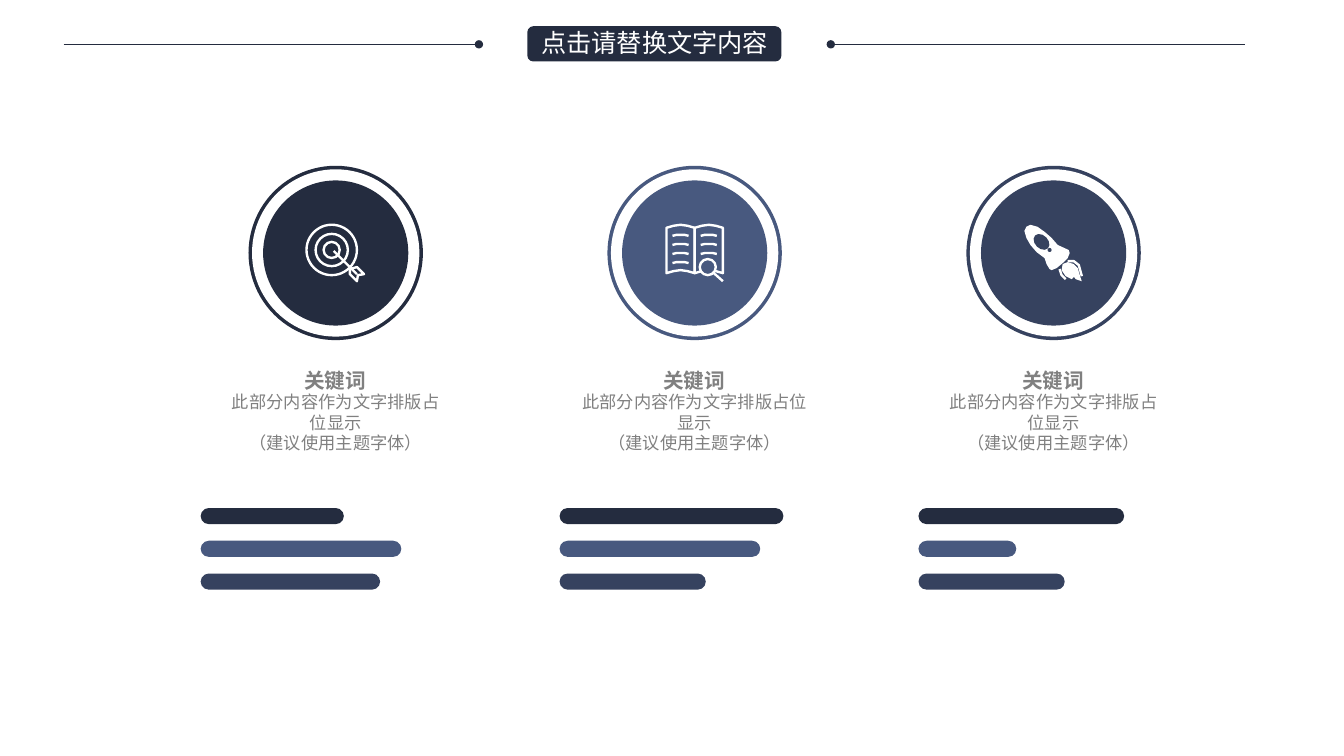
import dataclasses
import pptx
import pptx.dml.color
import pptx.enum.shapes
import pptx.enum.text
import pptx.oxml
import pptx.oxml.ns
import pptx.util

Inches = pptx.util.Inches
Kind = pptx.enum.shapes.MSO_SHAPE
Align = pptx.enum.text.PP_ALIGN


@dataclasses.dataclass(frozen=True)
class Theme:
    """Colours, fonts and sizes of the slide."""
    dark: str = "242C3F"
    blue: str = "48597F"
    slate: str = "36425F"
    white: str = "FFFFFF"
    grey: str = "808080"
    sans: str = "Noto Sans CJK SC"
    head: str = "Arial"
    title: float = 18
    key: float = 14.7
    body: float = 12.3
    rule: float = 0.5
    ink: float = 1.7


THEME = Theme()


def tint(hue):
    """Turn a hex string into a colour."""
    return pptx.dml.color.RGBColor.from_string(hue)


def paint(shape, fill=None, line=None):
    """Set the fill and outline of a shape."""
    shape.shadow.inherit = False
    if fill:
        shape.fill.solid()
        shape.fill.fore_color.rgb = tint(fill)
    else:
        shape.fill.background()
    if line:
        shape.line.color.rgb = tint(line)
        shape.line.width = pptx.util.Pt(THEME.ink)
    else:
        shape.line.fill.background()
    return shape


def disc(shapes, x, y, wide, tall=None, fill=None, line=None):
    """Draw an oval about a centre."""
    tall = tall or wide
    oval = shapes.add_shape(Kind.OVAL, Inches(x - wide / 2),
                            Inches(y - tall / 2), Inches(wide), Inches(tall))
    return paint(oval, fill, line)


def trace(shapes, x, y, points, fill=None, line=None, close=False):
    """Draw an outline given in hundredths of an inch from a centre."""
    pen = shapes.build_freeform(*points[0], scale=Inches(0.01))
    pen.add_line_segments(points[1:], close=close)
    paint(pen.convert_to_shape(Inches(x), Inches(y)), fill, line)


def pill(shapes, x, y, wide, tall, fill, bend):
    """Draw a rounded bar."""
    bar = shapes.add_shape(Kind.ROUNDED_RECTANGLE, Inches(x), Inches(y),
                           Inches(wide), Inches(tall))
    bar.adjustments[0] = bend
    paint(bar, fill)


def write(shapes, box, lines, size, hue, face, bold=False, wrap=False):
    """Add a text box and return its frame and paragraph."""
    frame = shapes.add_textbox(*map(Inches, box)).text_frame
    frame.word_wrap = wrap
    para = frame.paragraphs[0]
    for i, line in enumerate(lines):
        if i:
            para.add_line_break()
        run = para.add_run()
        run.text = line
        font = run.font
        font.size, font.bold, font.name = pptx.util.Pt(size), bold, face
        font.color.rgb = tint(hue)
        east = pptx.oxml.parse_xml(
            f'<a:ea {pptx.oxml.ns.nsdecls("a")} typeface="{face}"/>')
        run._r.get_or_add_rPr().append(east)
    return frame, para


def label(shapes, box, lines, size, bold=False, wrap=False):
    """Add a centred grey text without margins."""
    frame, para = write(shapes, box, lines, size, THEME.grey, THEME.sans,
                        bold, wrap)
    frame.margin_left = frame.margin_right = 0
    frame.margin_top = frame.margin_bottom = 0
    frame.vertical_anchor = pptx.enum.text.MSO_ANCHOR.MIDDLE
    para.alignment = Align.CENTER


def target(shapes, x, y, hue):
    """Draw a target with an arrow."""
    for wide in (0.5, 0.32, 0.16):
        disc(shapes, x - 0.04, y - 0.03, wide, line=THEME.white)
    trace(shapes, x, y, [(-2, -2), (21, 21)], line=THEME.white)
    trace(shapes, x, y, [(14, 16), (21, 14), (28, 21), (22, 22), (21, 28),
                         (14, 21)], line=THEME.white, close=True)


def book(shapes, x, y, hue):
    """Draw an open book with a lens."""
    for side, rows in ((-28, 4), (0, 3)):
        page = [(0, -25), (7, -27), (14, -28), (21, -27), (28, -25),
                (28, 20), (21, 18), (14, 17), (7, 18), (0, 20)]
        trace(shapes, x, y, [(side + a, b) for a, b in page],
              line=THEME.white, close=True)
        for row in range(rows):
            top = -17 + 9 * row
            bow = [(6, top), (10, top - 1), (18, top - 1), (22, top)]
            trace(shapes, x, y, [(side + a, b) for a, b in bow],
                  line=THEME.white)
    disc(shapes, x + 0.13, y + 0.14, 0.16, fill=hue, line=THEME.white)
    trace(shapes, x, y, [(19, 20), (28, 28)], line=THEME.white)


def rocket(shapes, x, y, hue):
    """Draw a rocket with its flame."""
    hull = [(-27, -26), (-23, -28), (-16, -26), (-9, -21), (-2, -15),
            (4, -8), (15, -3), (16, 0), (14, 5), (9, 10), (3, 15),
            (-2, 17), (-4, 16), (-7, 11), (-9, 5), (-17, -1),
            (-23, -8), (-27, -15), (-29, -22)]
    flame = [(9, 11), (14, 9), (20, 11), (24, 15), (26, 22), (28, 28),
             (22, 26), (19, 22), (20, 24), (18, 26), (12, 23), (8, 17)]
    for shape in (hull, flame):
        trace(shapes, x, y, shape, fill=THEME.white, close=True)
    disc(shapes, x - 0.12, y - 0.11, 0.18, 0.13, fill=hue).rotation = 45
    disc(shapes, x - 0.04, y - 0.03, 0.04, fill=hue)
    for edge in ([(14, 8), (20, 8), (25, 12), (28, 23)],
                 [(6, 16), (8, 22), (12, 26)]):
        trace(shapes, x, y, edge, line=THEME.white)


def column(slide, x, y, hue, icon, wide, bars):
    """Place a badge, its texts and three bars from a top left corner."""
    shapes = slide.shapes.add_group_shape().shapes
    mid, eye = x + 1.34, y + 0.86
    for size, fill in ((1.73, hue), (1.66, THEME.white), (1.44, hue)):
        disc(shapes, mid, eye, size, fill=fill)
    icon(shapes, mid, eye, hue)
    label(shapes, (mid - 0.92, y + 1.81, 1.83, 0.62), ["关键词"],
          THEME.key, bold=True)
    label(shapes, (mid - wide / 2, y + 2.23, wide, 0.62),
          ["此部分内容作为文字排版占位显示", "（建议使用主题字体）"],
          THEME.body, wrap=True)
    hues = (THEME.dark, THEME.blue, THEME.slate)
    for i, (span, fill) in enumerate(zip(bars, hues)):
        pill(shapes, x, y + 3.39 + 0.325 * i, span, 0.16, fill, 0.5)


def header(slide, x, y, wide):
    """Place the title plate between two dotted rules."""
    shapes = slide.shapes
    for start, end, tip in ((x, x + 4.12, "tailEnd"),
                            (x + wide - 4.11, x + wide, "headEnd")):
        rule = shapes.add_connector(
            pptx.enum.shapes.MSO_CONNECTOR.STRAIGHT, Inches(start),
            Inches(y + 0.22), Inches(end), Inches(y + 0.22))
        rule.line.color.rgb = tint(THEME.dark)
        rule.line.width = pptx.util.Pt(THEME.rule)
        names = pptx.oxml.ns.nsdecls("a")
        rule.line._get_or_add_ln().append(pptx.oxml.parse_xml(
            f'<a:{tip} {names} type="oval"/>'))
        rule._element.spPr.append(pptx.oxml.parse_xml(
            f'<a:effectLst {names}/>'))
    pill(shapes, x + 4.6, y + 0.04, 2.52, 0.35, THEME.dark, 0.17)
    frame, _ = write(shapes, (x + 4.64, y, 2.47, 0.4),
                     ["点击请替换文字内容"], THEME.title, THEME.white,
                     THEME.head)
    frame.auto_size = pptx.enum.text.MSO_AUTO_SIZE.SHAPE_TO_FIT_TEXT


def main():
    """Build and save the slide."""
    deck = pptx.Presentation()
    deck.slide_width, deck.slide_height = Inches(13.33), Inches(7.5)
    slide = deck.slides.add_slide(deck.slide_layouts[6])
    parts = ((THEME.dark, target, 2.21, (1.42, 1.99, 1.78)),
             (THEME.blue, book, 2.25, (2.22, 1.99, 1.45)),
             (THEME.slate, rocket, 2.1, (2.04, 0.97, 1.45)))
    for i, part in enumerate(parts):
        column(slide, 1.99 + 3.56 * i, 1.65, *part)
    header(slide, 0.63, 0.22, 11.72)
    deck.save("out.pptx")


if __name__ == "__main__":
    main()
